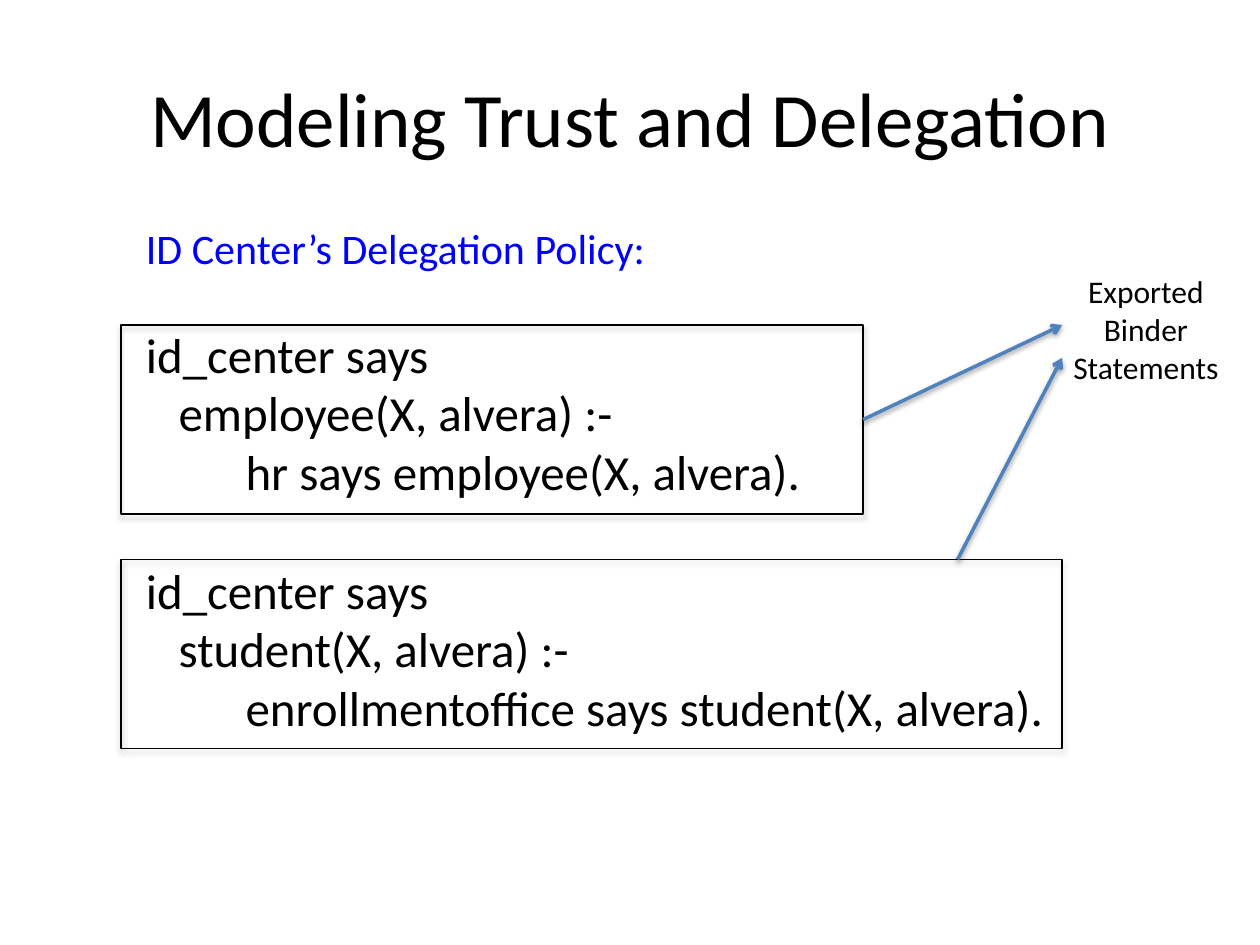
from lxml import etree
from pptx import Presentation
from pptx.dml.color import RGBColor
from pptx.enum.shapes import MSO_CONNECTOR, MSO_SHAPE
from pptx.enum.text import MSO_ANCHOR, PP_ALIGN
from pptx.oxml import parse_xml
from pptx.oxml.ns import nsdecls, qn
from pptx.util import Inches, Pt


def style_paragraph(paragraph, size, color="000000", align=PP_ALIGN.LEFT):
    paragraph.alignment = align
    for span in paragraph.runs:
        span.font.name = "Calibri"
        span.font.size = Pt(size)
        span.font.color.rgb = RGBColor.from_string(color)


def add_soft_shadow(shape, distance, opacity):
    """Drop a black shadow straight down; distance in points, opacity in percent."""
    shape._element.spPr.append(parse_xml(
        f'<a:effectLst {nsdecls("a")}>'
        f'<a:outerShdw blurRad="{Pt(3.1)}" dist="{Pt(distance)}" dir="5400000" rotWithShape="0">'
        f'<a:srgbClr val="000000"><a:alpha val="{opacity * 1000}"/></a:srgbClr>'
        '</a:outerShdw></a:effectLst>'))


deck = Presentation()
deck.slide_width, deck.slide_height = Inches(10), Inches(7.5)
page = deck.slides.add_slide(deck.slide_layouts[6])

title = page.shapes.add_textbox(Inches(0.5), Inches(0.3), Inches(9), Inches(1.25))
title.text_frame.word_wrap = True
title.text_frame.vertical_anchor = MSO_ANCHOR.MIDDLE
title.text_frame.text = "Modeling Trust and Delegation"
style_paragraph(title.text_frame.paragraphs[0], 44, align=PP_ALIGN.CENTER)

# Policy heading and rules: text, size, colour, indent in inches, space before in points
policy_lines = [
    ("ID Center’s Delegation Policy:", 24, "0000FF", 0, 0),
    ("id_center says", 28, "000000", 0, 29),
    ("employee(X, alvera) :-", 28, "000000", 0.26, 0),
    ("hr says employee(X, alvera).", 28, "000000", 0.79, 0),
    ("id_center says", 28, "000000", 0, 34),
    ("student(X, alvera) :-", 28, "000000", 0.26, 0),
    ("enrollmentoffice says student(X, alvera).", 28, "000000", 0.79, 0),
]
policy = page.shapes.add_textbox(Inches(1.06), Inches(1.72), Inches(7.98), Inches(4.21))
policy.text_frame.word_wrap = True
policy.text_frame.text = "\n".join(line[0] for line in policy_lines)
for paragraph, (_, size, color, indent, space) in zip(policy.text_frame.paragraphs, policy_lines):
    style_paragraph(paragraph, size, color)
    paragraph.space_before = Pt(space)
    paragraph._p.get_or_add_pPr().set("marL", str(Inches(indent)))

# Frames around the two rules
for left, top, width in [(0.96, 2.58, 5.89), (0.96, 4.44, 7.47)]:
    frame = page.shapes.add_shape(
        MSO_SHAPE.RECTANGLE, Inches(left), Inches(top), Inches(width), Inches(1.5))
    frame.fill.background()
    frame.line.color.rgb = RGBColor.from_string("000000")
    frame.line.width = Pt(0.75)
    add_soft_shadow(frame, 1.8, 35)

# Arrows from each frame to the label
for start_x, start_y, end_x, end_y in [(6.85, 3.33, 8.43, 2.58), (7.6, 4.44, 8.43, 2.84)]:
    arrow = page.shapes.add_connector(
        MSO_CONNECTOR.STRAIGHT, Inches(start_x), Inches(start_y), Inches(end_x), Inches(end_y))
    arrow.line.color.rgb = RGBColor.from_string("4F81BD")
    arrow.line.width = Pt(2)
    etree.SubElement(arrow.line._get_or_add_ln(), qn("a:tailEnd"), type="arrow")
    add_soft_shadow(arrow, 1.6, 38)

label = page.shapes.add_textbox(Inches(8.33), Inches(2.11), Inches(1.53), Inches(1.01))
label.text_frame.word_wrap = True
label.text_frame.text = "Exported Binder Statements"
style_paragraph(label.text_frame.paragraphs[0], 18, align=PP_ALIGN.CENTER)

deck.save("out.pptx")
